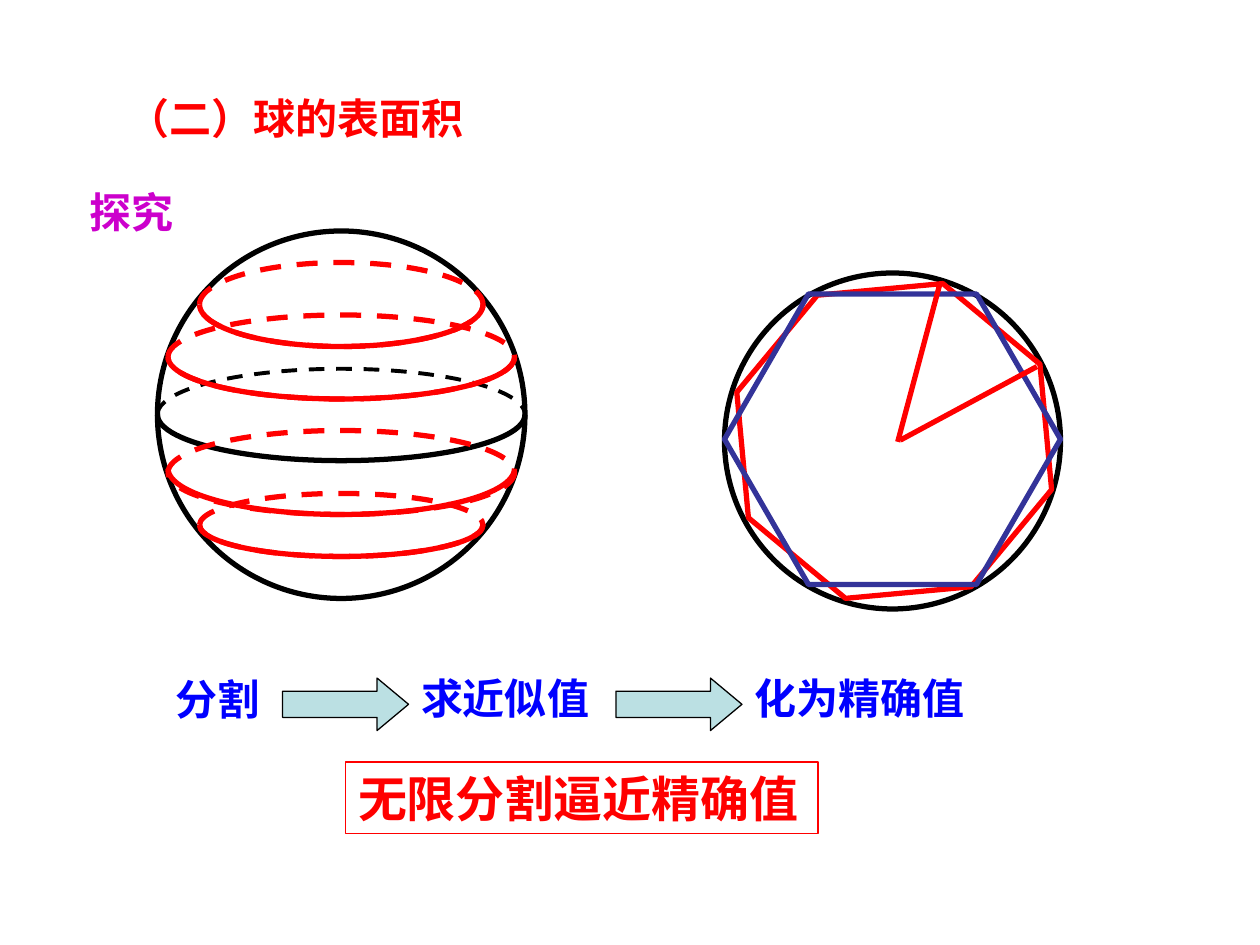
from dataclasses import dataclass

from lxml.etree import SubElement
from pptx import Presentation
from pptx.dml.color import RGBColor
from pptx.enum.dml import MSO_LINE
from pptx.enum.shapes import MSO_CONNECTOR, MSO_SHAPE
from pptx.oxml.ns import qn
from pptx.util import Pt


@dataclass(frozen=True)
class Theme:
    black: str = "000000"
    red: str = "FF0000"
    blue: str = "0000FF"
    navy: str = "333399"
    purple: str = "CC00CC"
    pale: str = "BBE0E3"
    latin: str = "Arial"
    han: str = "Noto Sans CJK SC"
    body: float = 24
    large: float = 28
    thick: float = 3
    mid: float = 2.25
    thin: float = 0.75


THEME = Theme()
MID = 195  # x of the sphere's axis
FRONT, BACK = (0, 108), (108, 0)  # arc ends, in units of 100000/60000 degree


def rgb(code):
    return RGBColor.from_string(code)


def add_form(slide, kind, box, color, width=THEME.thick, fill=None, adj=(), dash=False):
    form = slide.shapes.add_shape(kind, *map(Pt, box))
    form.shadow.inherit = False
    if fill:
        form.fill.solid()
        form.fill.fore_color.rgb = rgb(fill)
    else:
        form.fill.background()
    form.line.color.rgb = rgb(color)
    form.line.width = Pt(width)
    if dash:
        form.line.dash_style = MSO_LINE.DASH
    for i, value in enumerate(adj):
        form.adjustments[i] = value
    return form


def add_ring(slide, kind, top, span, height, color, **style):
    """Draw an ellipse or arc centred on the sphere's axis."""
    box = (MID - span / 2, top, span, height)
    return add_form(slide, kind, box, color, **style)


def set_text(shape, text, color, size=THEME.body, face=THEME.latin):
    frame = shape.text_frame
    frame.word_wrap = True
    para = frame.paragraphs[0]
    para.text = text
    font = para.font
    font.name, font.size, font.bold = face, Pt(size), True
    font.color.rgb = rgb(color)


def add_label(slide, text, left, top, width, color, face=THEME.latin):
    box = slide.shapes.add_textbox(Pt(left), Pt(top), Pt(width), Pt(36))
    set_text(box, text, color, face=face)


def add_line(slide, start, end):
    line = slide.shapes.add_connector(MSO_CONNECTOR.STRAIGHT, *map(Pt, start + end))
    line.line.color.rgb = rgb(THEME.red)
    line.line.width = Pt(THEME.thick)
    SubElement(line._element.spPr, qn("a:effectLst"))


def draw_globe(slide):
    add_ring(slide, MSO_SHAPE.OVAL, 132, 210, 210, THEME.black)
    add_ring(slide, MSO_SHAPE.ARC, 210.75, 210, 52.5, THEME.black, adj=FRONT)
    add_ring(slide, MSO_SHAPE.ARC, 210.75, 210, 52.5, THEME.black,
             width=THEME.mid, adj=BACK, dash=True)


def draw_cuts(slide):
    """Draw the red slices: dashed ellipses, then solid front halves."""
    for top, span, height in ((246, 198, 48), (180, 198, 48), (282, 162, 36), (150, 162, 48)):
        add_ring(slide, MSO_SHAPE.OVAL, top, span, height, THEME.red, dash=True)
    for top, span, height in ((282, 162, 36), (180, 198, 48), (150, 162, 48), (241.5, 198, 52.5)):
        add_ring(slide, MSO_SHAPE.ARC, top, span, height, THEME.red, adj=FRONT)


def draw_circle(slide):
    add_form(slide, MSO_SHAPE.OVAL, (414, 156, 192, 192), THEME.black)
    eight = add_form(slide, MSO_SHAPE.OCTAGON, (424, 165, 174, 174), THEME.red, adj=(0.293,))
    eight.rotation = -5.3
    add_form(slide, MSO_SHAPE.HEXAGON, (414, 168, 192, 166), THEME.navy, adj=(0.289,))
    add_line(slide, (537, 162.5), (513, 252.5))
    add_line(slide, (592.5, 209.5), (514.5, 251.5))


def draw_steps(slide):
    steps = (("分割", 93, 381.5, 132), ("求近似值", 233.5, 381, 198), ("化为精确值", 424, 381, 216))
    for text, left, top, width in steps:
        add_label(slide, text, left, top, width, THEME.blue)
    for _, left, _, _ in steps[1:]:
        add_form(slide, MSO_SHAPE.RIGHT_ARROW, (left - 72, 387.5, 72, 30), THEME.black,
                 THEME.thin, THEME.pale, adj=(0.5, 0.6))


def main():
    deck = Presentation()
    deck.slide_width, deck.slide_height = Pt(720), Pt(540)
    slide = deck.slides.add_slide(deck.slide_layouts[6])
    draw_globe(slide)
    add_label(slide, "探究", 44, 103, 137, THEME.purple)
    add_label(slide, "（二）球的表面积", 66, 49.5, 330, THEME.red, THEME.han)
    draw_circle(slide)
    draw_steps(slide)
    result = slide.shapes.add_textbox(Pt(197.5), Pt(435.5), Pt(270), Pt(41))
    result.line.color.rgb = rgb(THEME.red)
    result.line.width = Pt(THEME.thin)
    set_text(result, "无限分割逼近精确值", THEME.red, THEME.large)
    draw_cuts(slide)
    deck.save("out.pptx")


if __name__ == "__main__":
    main()
